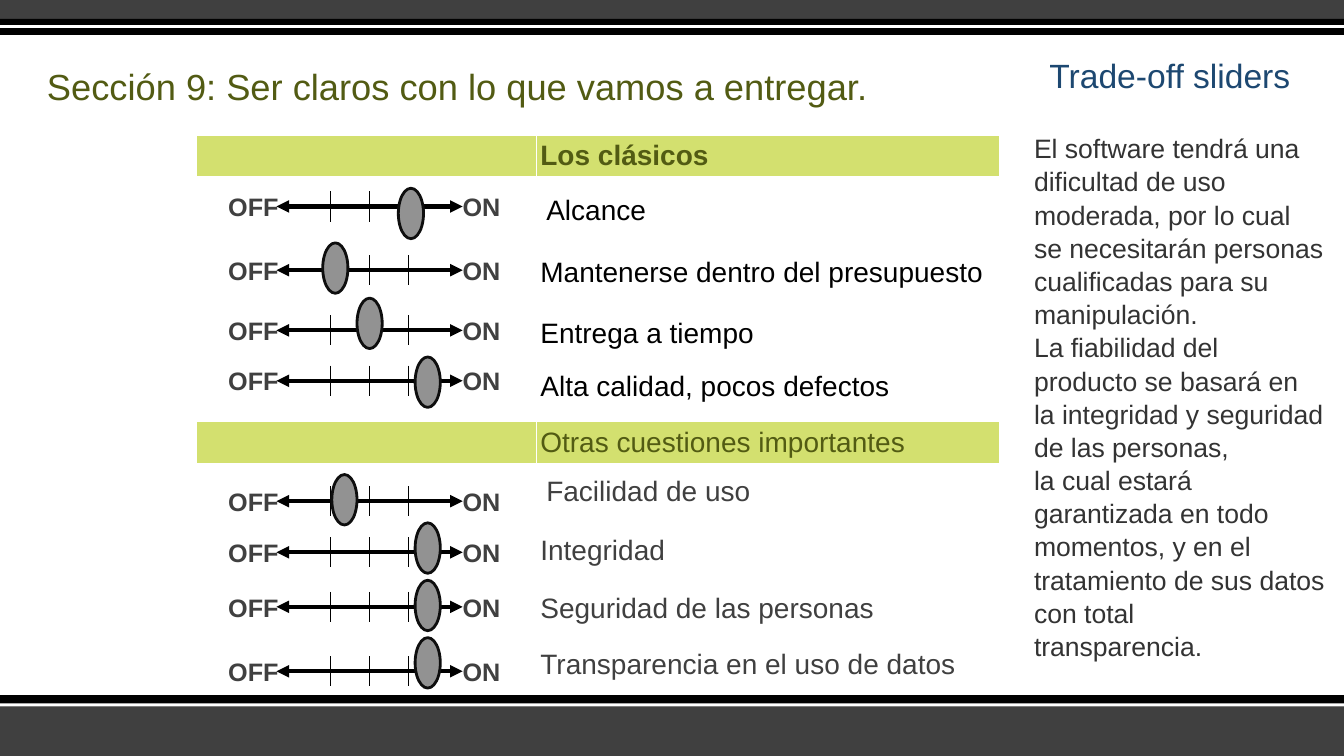
from dataclasses import dataclass

from lxml import etree
from pptx import Presentation
from pptx.dml.color import RGBColor
from pptx.enum.shapes import MSO_CONNECTOR, MSO_SHAPE
from pptx.enum.text import MSO_ANCHOR, PP_ALIGN
from pptx.oxml.ns import qn
from pptx.util import Pt

RECTANGLE, OVAL = MSO_SHAPE.RECTANGLE, MSO_SHAPE.OVAL
STRAIGHT = MSO_CONNECTOR.STRAIGHT
TOP, MIDDLE, BOTTOM = MSO_ANCHOR.TOP, MSO_ANCHOR.MIDDLE, MSO_ANCHOR.BOTTOM
LEFT, RIGHT = PP_ALIGN.LEFT, PP_ALIGN.RIGHT
WIDTH, HEIGHT = 960, 540


@dataclass(frozen=True)
class Theme:
    """Colours, font and type sizes of the slide."""
    font: str = "Arial"
    black: str = "000000"
    white: str = "FFFFFF"
    gray: str = "404040"
    body: str = "333333"
    olive: str = "525B13"
    lime: str = "D3E06F"
    blue: str = "1D4871"
    knob: str = "929292"
    knob_line: str = "0E0E0E"
    title_size: float = 25.9
    subtitle_size: float = 24
    table_size: float = 20
    body_size: float = 19
    label_size: float = 18


THEME = Theme()

BANDS = [  # top, height, colour
    (504, 36, THEME.gray), (496.5, 8, THEME.black), (502.5, 2, THEME.white),
    (0, 13.5, THEME.gray), (13.5, 11.5, THEME.black), (18, 2, THEME.white),
]
CLASSICS = ["Los clásicos", "Alcance", "Mantenerse dentro del presupuesto",
            "Entrega a tiempo", "Alta calidad, pocos defectos"]
OTHERS = ["Otras cuestiones importantes", "Facilidad de uso", "Integridad",
          "Seguridad de las personas", "Transparencia en el uso de datos"]
SLIDERS = [  # axis height, knob left, knob top
    (147.5, 284.5, 134.5), (193, 230.5, 173.5), (236, 255, 213), (272, 296.5, 255),
    (358, 237, 339), (394.5, 296.5, 373.5), (433.5, 296.5, 414.5), (479.5, 296.5, 455.5),
]
EXPLANATION = [
    "El software tendrá una dificultad de uso moderada, por lo cual se necesitarán personas",
    "cualificadas para su manipulación.",
    "La fiabilidad del producto se basará en la integridad y seguridad de las personas,",
    "la cual estará garantizada en todo momentos, y en el tratamiento de sus datos con total",
    "transparencia.",
]


def apply(target, values):
    """Set each attribute named in values on target."""
    for name, value in values.items():
        setattr(target, name, value)


def write(frame, lines, size, color, bold=False, align=LEFT, spacing=1.0):
    """Write one formatted paragraph per line into a text frame."""
    for index, line in enumerate(lines):
        paragraph = frame.add_paragraph() if index else frame.paragraphs[0]
        apply(paragraph, {"alignment": align, "line_spacing": spacing})
        run = paragraph.add_run()
        run.text = line
        apply(run.font, {"name": THEME.font, "size": Pt(size), "bold": bold})
        run.font.color.rgb = RGBColor.from_string(color)


def add_text(shapes, box, lines, size, color, anchor=TOP, margins=(7.2, 3.6), **style):
    """Add a wrapping text box; box is left, top, width, height."""
    frame = shapes.add_textbox(*map(Pt, box)).text_frame
    side, edge = map(Pt, margins)
    apply(frame, {"word_wrap": True, "vertical_anchor": anchor, "margin_left": side,
                  "margin_right": side, "margin_top": edge, "margin_bottom": edge})
    write(frame, lines, size, color, **style)


def add_filled(shapes, kind, box, color, line=None):
    """Add a plain filled shape, with a 2 pt outline if a line colour is given."""
    shape = shapes.add_shape(kind, *map(Pt, box))
    shape.shadow.inherit = False
    shape.fill.solid()
    shape.fill.fore_color.rgb = RGBColor.from_string(color)
    if line:
        shape.line.color.rgb = RGBColor.from_string(line)
        shape.line.width = Pt(2)
    else:
        shape.line.fill.background()


def add_line(shapes, start, end, weight, arrows=False):
    """Add a black line, with arrowheads at both ends if asked for."""
    connector = shapes.add_connector(STRAIGHT, *map(Pt, start + end))
    connector.line.color.rgb = RGBColor.from_string(THEME.black)
    connector.line.width = Pt(weight)
    if arrows:
        outline = connector.line._get_or_add_ln()
        for tag in ("a:headEnd", "a:tailEnd"):
            etree.SubElement(outline, qn(tag), type="triangle")
    etree.SubElement(connector._element.spPr, qn("a:effectLst"))


def add_topics(slide, top, heights, topics, color, bold_header):
    """Add a two-column table whose first row is a coloured header."""
    widths = (243, 331)
    box = (140, top, sum(widths), sum(heights))
    table = slide.shapes.add_table(len(topics), 2, *map(Pt, box)).table
    apply(table, {"first_row": False, "horz_banding": False})
    for column, width in zip(table.columns, widths):
        column.width = Pt(width)
    for index, (topic, height) in enumerate(zip(topics, heights)):
        table.rows[index].height = Pt(height)
        margin = Pt(7.2 if index == 1 else 3)
        for cell in table.rows[index].cells:
            apply(cell, {"vertical_anchor": MIDDLE, "margin_left": margin,
                         "margin_right": margin, "margin_top": margin,
                         "margin_bottom": margin})
            if index:
                cell.fill.background()
            else:
                cell.fill.solid()
                cell.fill.fore_color.rgb = RGBColor.from_string(THEME.lime)
        write(table.cell(index, 1).text_frame, [topic], THEME.table_size,
              color if index else THEME.olive, bold=bold_header and index == 0)


def add_scale(slide, axis):
    """Add a grouped OFF-ON scale with three ticks, centred on the axis height."""
    shapes = slide.shapes.add_group_shape().shapes
    top, bottom = axis - 10.75, axis + 10.75
    for text, left, width, align in (("OFF", 162, 37, RIGHT), ("ON", 330.5, 29.5, LEFT)):
        add_text(shapes, (left, top, width, 21), [text], THEME.label_size, THEME.gray,
                 margins=(0, 0), bold=True, align=align)
    add_line(shapes, (197.5, axis), (330.5, axis), 3, arrows=True)
    for tick in range(3):
        x = 236 + 28 * tick
        add_line(shapes, (x, top), (x, bottom), 1)


def main():
    """Build the slide and save it."""
    presentation = Presentation()
    apply(presentation, {"slide_width": Pt(WIDTH), "slide_height": Pt(HEIGHT)})
    slide = presentation.slides.add_slide(presentation.slide_layouts[6])
    for top, height, color in BANDS:
        add_filled(slide.shapes, RECTANGLE, (0, top, WIDTH, height), color)
    add_text(slide.shapes, (26.5, 48, 700, 33),
             ["Sección 9: Ser claros con lo que vamos a entregar."],
             THEME.title_size, THEME.olive, anchor=BOTTOM, spacing=0.9)
    add_text(slide.shapes, (742.5, 39, 194.5, 33), ["Trade-off sliders"],
             THEME.subtitle_size, THEME.blue, spacing=0.9)
    add_topics(slide, 96.5, (30, 48, 41, 46, 30), CLASSICS, THEME.black, True)
    add_topics(slide, 301, (30, 40, 45, 37, 43), OTHERS, THEME.gray, False)
    for axis, _, _ in SLIDERS:
        add_scale(slide, axis)
    for _, left, top in SLIDERS:
        add_filled(slide.shapes, OVAL, (left, top, 18, 36), THEME.knob, THEME.knob_line)
    add_text(slide.shapes, (731.5, 90, 222.5, 399), EXPLANATION,
             THEME.body_size, THEME.body, spacing=1.04)
    presentation.save("out.pptx")


main()
